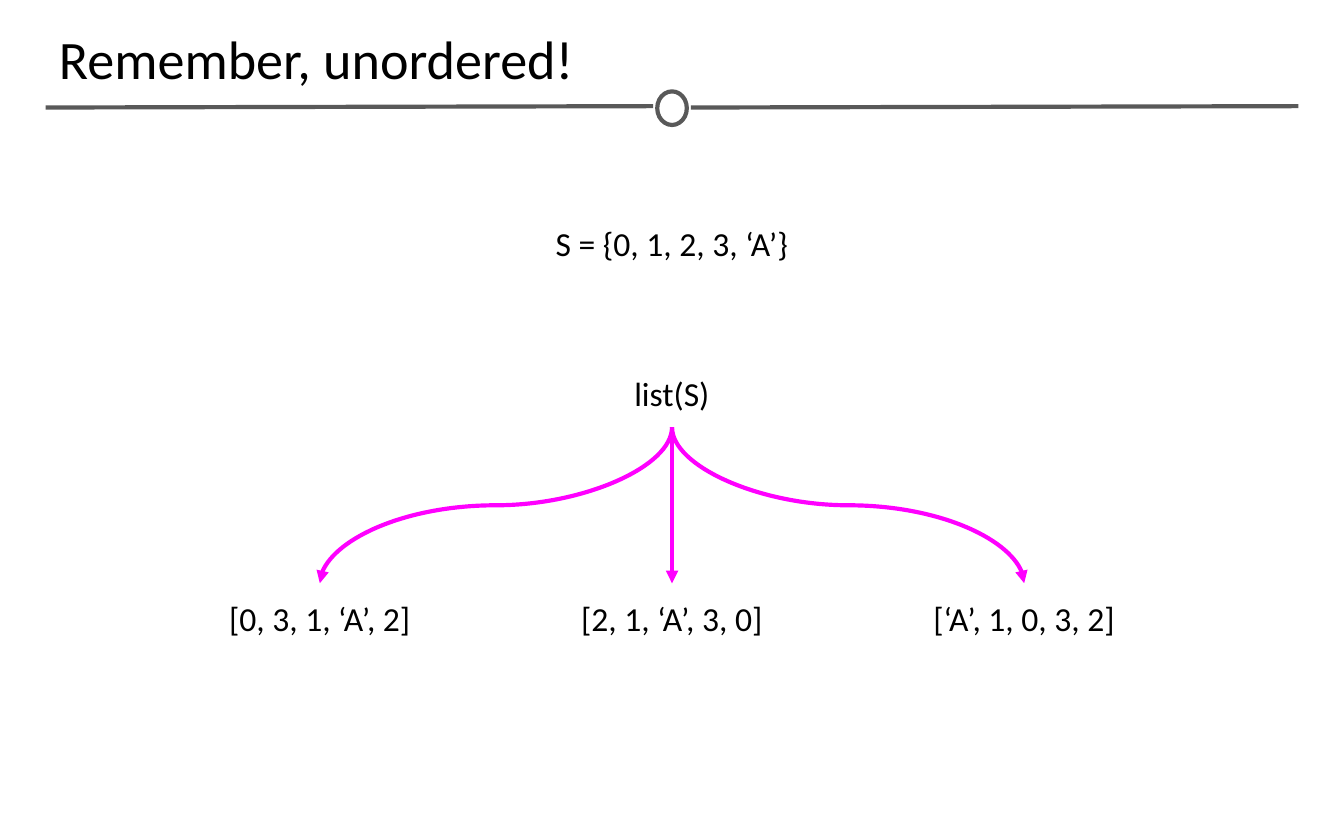
"""Build a slide showing that list() of a set may return any order."""
from dataclasses import dataclass

from lxml import etree
from pptx import Presentation
from pptx.dml.color import RGBColor
from pptx.enum.shapes import MSO_CONNECTOR, MSO_SHAPE
from pptx.enum.text import MSO_ANCHOR, PP_ALIGN
from pptx.oxml.ns import qn
from pptx.shapes.autoshape import Shape
from pptx.shapes.connector import Connector
from pptx.shapes.shapetree import SlideShapes
from pptx.util import Inches, Pt

STRAIGHT, CURVE = MSO_CONNECTOR.STRAIGHT, MSO_CONNECTOR.CURVE
OVAL = MSO_SHAPE.OVAL
LEFT, CENTER = PP_ALIGN.LEFT, PP_ALIGN.CENTER
MIDDLE = MSO_ANCHOR.MIDDLE
BOTTOM_SITE, TOP_SITE = 2, 0

COLORS = {"text": "000000", "rule": "595959", "arrow": "FF00FF"}
FONT = "Calibri"
LINE_WIDTH = 2.25
SLIDE_WIDTH, SLIDE_HEIGHT = 10, 6.25
MARGIN = 0.34
CENTER_X = SLIDE_WIDTH / 2
LABEL_WIDTH, LABEL_HEIGHT = 2.54, 0.51
CALL_TOP, RESULT_TOP = 2.67, 4.34
RESULT_STEP = 2.62


@dataclass(frozen=True)
class Label:
    text: str
    left: float
    top: float
    width: float = LABEL_WIDTH
    height: float = LABEL_HEIGHT
    size: float = 18
    align: PP_ALIGN = CENTER


@dataclass(frozen=True)
class Result:
    text: str
    column: int


TITLE = Label("Remember, unordered!", MARGIN, 0.08,
              SLIDE_WIDTH - 2 * MARGIN, 0.7, 29, LEFT)
RESULTS = [
    Result("[2, 1, ‘A’, 3, 0]", 0),
    Result("[0, 3, 1, ‘A’, 2]", -1),
    Result("[‘A’, 1, 0, 3, 2]", 1),
]


def centered_label(text: str, top: float, column: int = 0) -> Label:
    left = CENTER_X + column * RESULT_STEP - LABEL_WIDTH / 2
    return Label(text, left, top)


def add_label(shapes: SlideShapes, label: Label) -> Shape:
    box = shapes.add_textbox(Inches(label.left), Inches(label.top),
                             Inches(label.width), Inches(label.height))
    frame = box.text_frame
    frame.word_wrap = True
    frame.vertical_anchor = MIDDLE
    frame.margin_left = frame.margin_right = Inches(0.1)
    frame.margin_top = frame.margin_bottom = Inches(0.1)
    paragraph = frame.paragraphs[0]
    paragraph.alignment = label.align
    run = paragraph.add_run()
    run.text = label.text
    run.font.name = FONT
    run.font.size = Pt(label.size)
    run.font.color.rgb = RGBColor.from_string(COLORS["text"])
    return box


def style_line(shape: Shape | Connector, color: str) -> None:
    shape.line.color.rgb = RGBColor.from_string(COLORS[color])
    shape.line.width = Pt(LINE_WIDTH)


def add_line(shapes: SlideShapes, kind: MSO_CONNECTOR, color: str,
             start: tuple[float, float], end: tuple[float, float]) -> Connector:
    line = shapes.add_connector(kind, Inches(start[0]), Inches(start[1]),
                                Inches(end[0]), Inches(end[1]))
    style_line(line, color)
    etree.SubElement(line._element.spPr, qn("a:effectLst"))
    return line


def turn_downward(curve: Connector, column: int) -> None:
    drop = Inches(RESULT_TOP - CALL_TOP - LABEL_HEIGHT)
    span = Inches(RESULT_STEP)
    middle_x = Inches(CENTER_X + column * RESULT_STEP / 2)
    middle_y = Inches((CALL_TOP + LABEL_HEIGHT + RESULT_TOP) / 2)
    curve.left, curve.top = middle_x - drop // 2, middle_y - span // 2
    curve.width, curve.height = drop, span
    frame = curve._element.spPr.find(qn("a:xfrm"))
    frame.set("rot", str((90 if column < 0 else 270) * 60000))
    frame.set("flipH", "0" if column < 0 else "1")
    frame.set("flipV", "0")


def add_arrow(shapes: SlideShapes, call: Shape, result: Shape, column: int) -> None:
    start = (CENTER_X, CALL_TOP + LABEL_HEIGHT)
    end = (CENTER_X + column * RESULT_STEP, RESULT_TOP)
    arrow = add_line(shapes, CURVE if column else STRAIGHT, "arrow", start, end)
    arrow.begin_connect(call, BOTTOM_SITE)
    arrow.end_connect(result, TOP_SITE)
    if column:
        turn_downward(arrow, column)
    etree.SubElement(arrow.line._get_or_add_ln(), qn("a:tailEnd"), type="triangle")


def add_header(shapes: SlideShapes) -> None:
    rule_length = 4.52
    for left in (MARGIN, SLIDE_WIDTH - MARGIN - rule_length):
        add_line(shapes, STRAIGHT, "rule", (left, 0.8), (left + rule_length, 0.79))
    ring_width = 0.22
    ring = shapes.add_shape(OVAL, Inches(CENTER_X - ring_width / 2), Inches(0.68),
                            Inches(ring_width), Inches(0.25))
    ring.shadow.inherit = False
    ring.fill.background()
    style_line(ring, "rule")
    add_label(shapes, TITLE)


def main() -> None:
    presentation = Presentation()
    presentation.slide_width = Inches(SLIDE_WIDTH)
    presentation.slide_height = Inches(SLIDE_HEIGHT)
    shapes = presentation.slides.add_slide(presentation.slide_layouts[6]).shapes
    add_header(shapes)
    add_label(shapes, centered_label("S = {0, 1, 2, 3, ‘A’}", 1.55))
    call = add_label(shapes, centered_label("list(S)", CALL_TOP))
    boxes = [add_label(shapes, centered_label(result.text, RESULT_TOP, result.column))
             for result in RESULTS]
    for result, box in zip(RESULTS, boxes):
        add_arrow(shapes, call, box, result.column)
    presentation.save("out.pptx")


if __name__ == "__main__":
    main()
